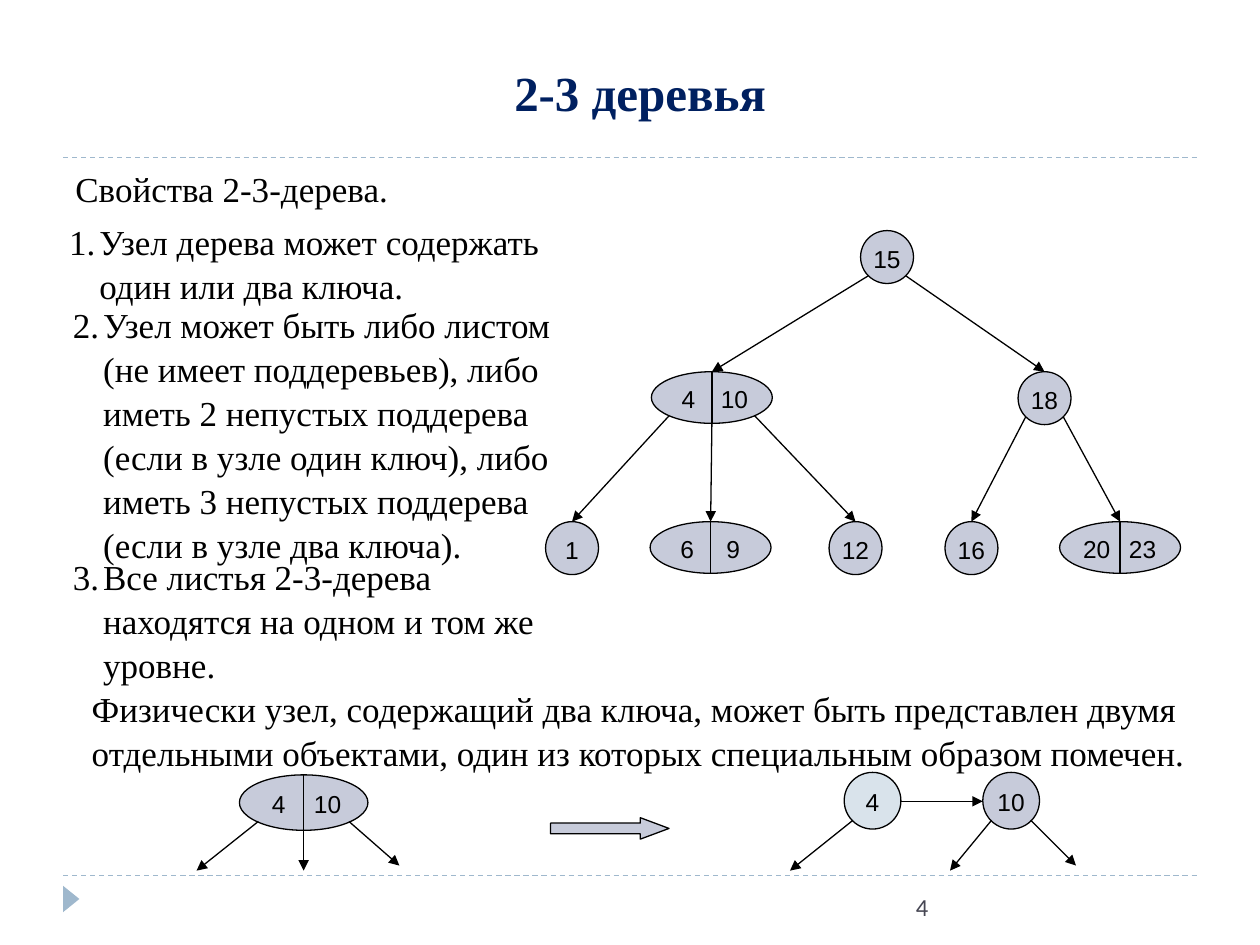
"""Builds the slide on 2-3 trees: properties, an example tree and the split of a two-key node."""
import pptx
import pptx.util
import pptx.dml.color
import pptx.enum.dml
import pptx.enum.shapes
import pptx.enum.text
import pptx.oxml.ns
import lxml.etree

PX = 9144
COLORS = {"ink": "000000", "title": "002060", "node": "C7CBDA", "marked": "D9E3EB",
          "accent": "9FB8CD", "number": "464653"}
RGB = {name: pptx.dml.color.RGBColor.from_string(value) for name, value in COLORS.items()}
SHAPE = pptx.enum.shapes.MSO_SHAPE
ALIGN = pptx.enum.text.PP_ALIGN
ANCHOR = pptx.enum.text.MSO_ANCHOR
qn = pptx.oxml.ns.qn


def write(frame, text, font="Times New Roman", size=20, color="ink", bold=False, align=ALIGN.LEFT,
          anchor=ANCHOR.TOP, insets=(10, 6, 10, 5), wrap=False, spacing=None, number=None, tabs=()):
    frame.word_wrap = wrap
    frame.vertical_anchor = anchor
    frame.margin_left, frame.margin_top, frame.margin_right, frame.margin_bottom = [
        inset * PX for inset in insets]
    paragraph = frame.paragraphs[0]
    paragraph.text = text
    properties = paragraph._p.get_or_add_pPr()
    if number:
        properties.set("marL", str(47 * PX))
        properties.set("indent", str(-24 * PX))
        lxml.etree.SubElement(properties, qn("a:buAutoNum"), type="arabicPeriod", startAt=str(number))
    if tabs:
        stops = lxml.etree.SubElement(properties, qn("a:tabLst"))
        for stop in tabs:
            lxml.etree.SubElement(stops, qn("a:tab"), pos=str(round(stop * PX)), algn="ctr")
    paragraph.alignment = align
    if spacing:
        paragraph.line_spacing = spacing
    for run in paragraph.runs:
        run.font.name, run.font.size, run.font.bold = font, pptx.util.Pt(size), bold
        run.font.color.rgb = RGB[color]


def draw_line(start, end, color="ink", dashed=False, arrow=False):
    line = slide.shapes.add_connector(pptx.enum.shapes.MSO_CONNECTOR.STRAIGHT,
                                      *[round(value) * PX for value in (*start, *end)])
    line.line.color.rgb = RGB[color]
    line.line.width = pptx.util.Pt(0.75)
    if dashed:
        line.line.dash_style = pptx.enum.dml.MSO_LINE.DASH
    if arrow:
        lxml.etree.SubElement(line.line._get_or_add_ln(), qn("a:tailEnd"), type="triangle")
    lxml.etree.SubElement(line._element.spPr, qn("a:effectLst"))


deck = pptx.Presentation()
deck.slide_width, deck.slide_height = 1000 * PX, 750 * PX
slide = deck.slides.add_slide(deck.slide_layouts[5])

title = slide.shapes.title
title.left, title.top, title.width, title.height = 58 * PX, 42 * PX, 900 * PX, 67 * PX
write(title.text_frame, "2-3 деревья", size=28, color="title", bold=True, align=ALIGN.CENTER,
      insets=(10, 5, 10, 5), wrap=True, spacing=1.05)

for rule_y in (125, 695):
    draw_line((50, rule_y), (950, rule_y), color="accent", dashed=True)

marker = slide.shapes.add_shape(SHAPE.ISOSCELES_TRIANGLE, 46 * PX, 707 * PX, 21 * PX, 13 * PX)
marker.rotation = 90
marker.shadow.inherit = False
marker.fill.solid()
marker.fill.fore_color.rgb = RGB["accent"]
marker.line.fill.background()

passages = [
    (50, 125, 270, 45, "Свойства 2-3-дерева.", {}),
    (22, 167, 419, 79, "Узел дерева может содержать\vодин или два ключа.", {"number": 1}),
    (25, 233, 425, 213, "Узел может быть либо листом\v(не имеет поддеревьев), либо\v"
     "иметь 2 непустых поддерева\v(если в узле один ключ), либо\v"
     "иметь 3 непустых поддерева\v(если в узле два ключа).", {"number": 2}),
    (25, 433, 412, 112, "Все листья 2-3-дерева\vнаходятся на одном и том же\vуровне.", {"number": 3}),
    (63, 538, 937, 79, "Физически узел, содержащий два ключа, может быть представлен двумя "
     "отдельными объектами, один из которых специальным образом помечен.", {"wrap": True}),
    (717, 703, 233, 30, "4", {"font": "Calibri", "size": 14, "color": "number", "spacing": 1,
                              "insets": (10, 5, 10, 5), "wrap": True}),
]
for x, y, width, height, text, style in passages:
    box = slide.shapes.add_textbox(x * PX, y * PX, width * PX, height * PX)
    write(box.text_frame, text, **{"spacing": 1.05, **style})

nodes = {
    "root": (683, 183, 42, 42, "15"),
    "left": (517, 295, 96, 41, "4 10"),
    "right": (808, 295, 42, 42, "18"),
    "leaf 1": (433, 414, 42, 42, "1"),
    "leaf 6 9": (516, 414, 96, 41, "6 9"),
    "leaf 12": (658, 414, 42, 42, "12"),
    "leaf 16": (750, 414, 42, 42, "16"),
    "leaf 20 23": (841, 414, 96, 41, "20 23"),
    "joined": (190, 615, 102, 44, "4 10"),
    "marked": (670, 613, 45, 45, "4"),
    "second": (780, 613, 45, 45, "10"),
}
for name, (x, y, width, height, label) in nodes.items():
    node = slide.shapes.add_shape(SHAPE.OVAL, x * PX, y * PX, width * PX, height * PX)
    node.shadow.inherit = False
    node.fill.solid()
    node.fill.fore_color.rgb = RGB["marked" if name == "marked" else "node"]
    node.line.color.rgb = RGB["ink"]
    node.line.width = pptx.util.Pt(0.75)
    keys = label.split()
    style = {"font": "Arial", "size": 14, "anchor": ANCHOR.MIDDLE}
    if len(keys) == 2:
        write(node.text_frame, "\t" + "\t".join(keys), insets=(0, 2, 0, 0), wrap=True,
              tabs=(0.16 * width, 0.54 * width), **style)
        draw_line((x + width / 2, y), (x + width / 2, y + height))
    else:
        write(node.text_frame, label, align=ALIGN.CENTER, insets=(10, 7, 10, 5), **style)

branches = [
    ("root", -1, "left"), ("root", 1, "right"),
    ("left", -1, "leaf 1"), ("left", 0, "leaf 6 9"), ("left", 1, "leaf 12"),
    ("right", -1, "leaf 16"), ("right", 1, "leaf 20 23"),
    ("joined", -1, (156, 691)), ("joined", 0, (241, 691)), ("joined", 1, (317, 687)),
    ("marked", -1, (627, 691)),
    ("second", -1, (754, 691)), ("second", 1, (854, 687)),
]
for parent, side, target in branches:
    x, y, width, height, _ = nodes[parent]
    start = (x + width * (0.5 + 0.35 * side), y + height * (0.85 if side else 1))
    if target in nodes:
        child_x, child_y, child_width = nodes[target][:3]
        target = (child_x + child_width / 2, child_y)
    draw_line(start, target, arrow=True)
draw_line((715, 636), (780, 636), arrow=True)

becomes = slide.shapes.add_shape(SHAPE.RIGHT_ARROW, 437 * PX, 649 * PX, 94 * PX, 17 * PX)
becomes.adjustments[0], becomes.adjustments[1] = 0.5, 1.34
becomes.shadow.inherit = False
becomes.fill.solid()
becomes.fill.fore_color.rgb = RGB["node"]
becomes.line.color.rgb = RGB["ink"]
becomes.line.width = pptx.util.Pt(0.75)

deck.save("out.pptx")
